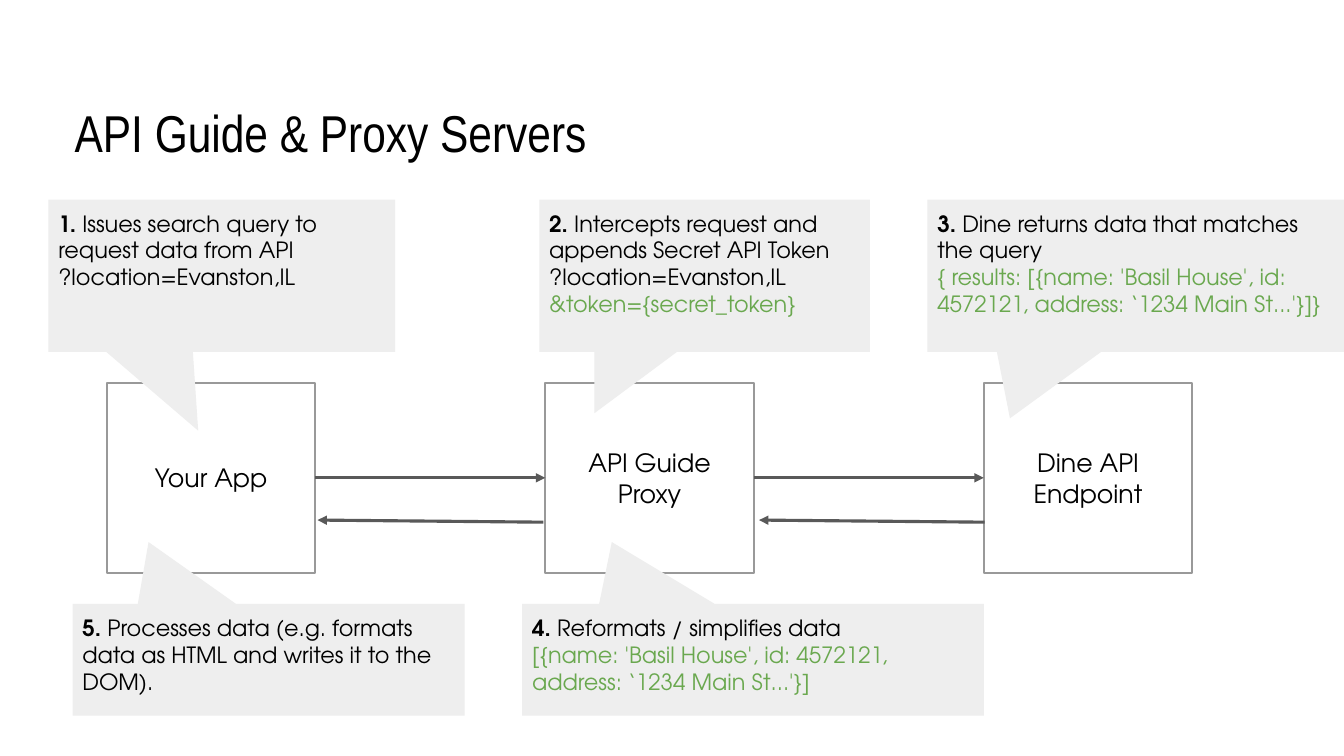
from lxml import etree
from pptx import Presentation
from pptx.dml.color import RGBColor
from pptx.enum import shapes, text
from pptx.oxml import ns
from pptx.util import Pt

COLORS = {"ink": "000000", "code": "6AA84F", "callout": "EEEEEE",
          "border": "999999", "arrow": "595959"}
TITLE_FONT = "Arial Narrow"
BODY_FONT = "TeX Gyre Adventor"

# Row of server boxes
BOX_LEFT, BOX_TOP, BOX_WIDTH, BOX_HEIGHT = 76.3, 273.6, 149, 135.4
BOX_PITCH = 313.2
SERVERS = ["Your App", "API Guide Proxy", "Dine API Endpoint"]

# Callouts: number, place, pointer, paragraphs of (text, color) spans
TOP_ROW, BOTTOM_ROW = (142.6, 108.7), (431.3, 79.9)
CALLOUTS = [
    (1, 34.6, 247.7, TOP_ROW, (-0.068, 1.018),
     [[("Issues search query to request data from API", "ink")],
      [("?location=Evanston,IL", "ink")]]),
    (2, 385.2, 236.2, TOP_ROW, (-0.333, 0.903),
     [[("Intercepts request and appends Secret API Token", "ink")],
      [("?location=Evanston,IL\n", "ink"), ("&token={secret_token}", "code")]]),
    (3, 662.4, 298, TOP_ROW, (-0.302, 0.937),
     [[("Dine returns data that matches the query\n", "ink"),
       ("{ results: [{name: 'Basil House', id: 4572121, "
        "address: ‘1234 Main St...'}]}", "code")]]),
    (4, 373, 329.8, BOTTOM_ROW, (-0.306, -1.052),
     [[("Reformats / simplifies data\n", "ink"),
       ("[{name: 'Basil House', id: 4572121, "
        "address: ‘1234 Main St...'}]", "code")]]),
    (5, 51.8, 280.1, BOTTOM_ROW, (-0.306, -1.052),
     [[("Processes data (e.g. formats data as HTML and writes it to the DOM).",
        "ink")]]),
]


def rgb(name):
    return RGBColor.from_string(COLORS[name])


def add_text(para, words, size=16, font=BODY_FONT, color="ink", bold=False):
    """Add a formatted span; a newline at its end becomes a line break."""
    span = para.add_run()
    span.text = words.rstrip("\n")
    span.font.size = Pt(size)
    span.font.name = font
    span.font.bold = bold
    span.font.color.rgb = rgb(color)
    if words.endswith("\n"):
        para.add_line_break()


def set_frame(frame, inset, anchor):
    frame.word_wrap = True
    frame.auto_size = text.MSO_AUTO_SIZE.NONE
    frame.vertical_anchor = anchor
    frame.margin_left = frame.margin_right = Pt(inset)
    frame.margin_top = frame.margin_bottom = Pt(inset)


def add_title(page, words):
    title = page.shapes.title
    title.left, title.top = Pt(43.9), Pt(62.6)
    title.width, title.height = Pt(870.5), Pt(79.9)
    set_frame(title.text_frame, 9.4, text.MSO_ANCHOR.TOP)
    para = title.text_frame.paragraphs[0]
    para.alignment = text.PP_ALIGN.LEFT
    add_text(para, words, size=37, font=TITLE_FONT)


def add_box(page, words, left):
    box = page.shapes.add_shape(shapes.MSO_SHAPE.RECTANGLE, Pt(left),
                                Pt(BOX_TOP), Pt(BOX_WIDTH), Pt(BOX_HEIGHT))
    box.shadow.inherit = False
    box.fill.background()
    box.line.color.rgb = rgb("border")
    box.line.width = Pt(1.5)
    set_frame(box.text_frame, 7.2, text.MSO_ANCHOR.MIDDLE)
    para = box.text_frame.paragraphs[0]
    para.alignment = text.PP_ALIGN.CENTER
    add_text(para, words, size=18)
    return box


def add_arrow(page, start=(0, 0), end=(0, 0)):
    arrow = page.shapes.add_connector(shapes.MSO_CONNECTOR.STRAIGHT,
                                      *map(Pt, start + end))
    arrow.line.color.rgb = rgb("arrow")
    arrow.line.width = Pt(2.25)
    head = etree.SubElement(arrow.line._get_or_add_ln(), ns.qn("a:tailEnd"))
    head.set("type", "triangle")
    etree.SubElement(arrow._element.spPr, ns.qn("a:effectLst"))
    return arrow


def add_callout(page, number, left, width, row, pointer, paragraphs):
    top, height = row
    callout = page.shapes.add_shape(shapes.MSO_SHAPE.RECTANGULAR_CALLOUT,
                                    Pt(left), Pt(top), Pt(width), Pt(height))
    callout.adjustments[0], callout.adjustments[1] = pointer
    callout.shadow.inherit = False
    callout.fill.solid()
    callout.fill.fore_color.rgb = rgb("callout")
    callout.line.fill.background()
    frame = callout.text_frame
    set_frame(frame, 7.2, text.MSO_ANCHOR.TOP)
    for index, spans in enumerate(paragraphs):
        para = frame.add_paragraph() if index else frame.paragraphs[0]
        para.alignment = text.PP_ALIGN.LEFT
        if index == 0:
            add_text(para, f"{number}. ", bold=True)
        for words, color in spans:
            add_text(para, words, color=color)


def main():
    deck = Presentation()
    deck.slide_width, deck.slide_height = Pt(960), Pt(540)
    page = deck.slides.add_slide(deck.slide_layouts[5])
    add_title(page, "API Guide & Proxy Servers")

    # Servers
    boxes = [add_box(page, words, BOX_LEFT + index * BOX_PITCH)
             for index, words in enumerate(SERVERS)]

    # Requests go right, responses come back left
    for sender, receiver in zip(boxes, boxes[1:]):
        request = add_arrow(page)
        request.begin_connect(sender, 3)
        request.end_connect(receiver, 1)
    for start, end in [(703.4, 542.2), (388.1, 226.8)]:
        add_arrow(page, (start, 373), (end, 371.5))

    # Numbered explanations
    for callout in CALLOUTS:
        add_callout(page, *callout)

    deck.save("out.pptx")


if __name__ == "__main__":
    main()
